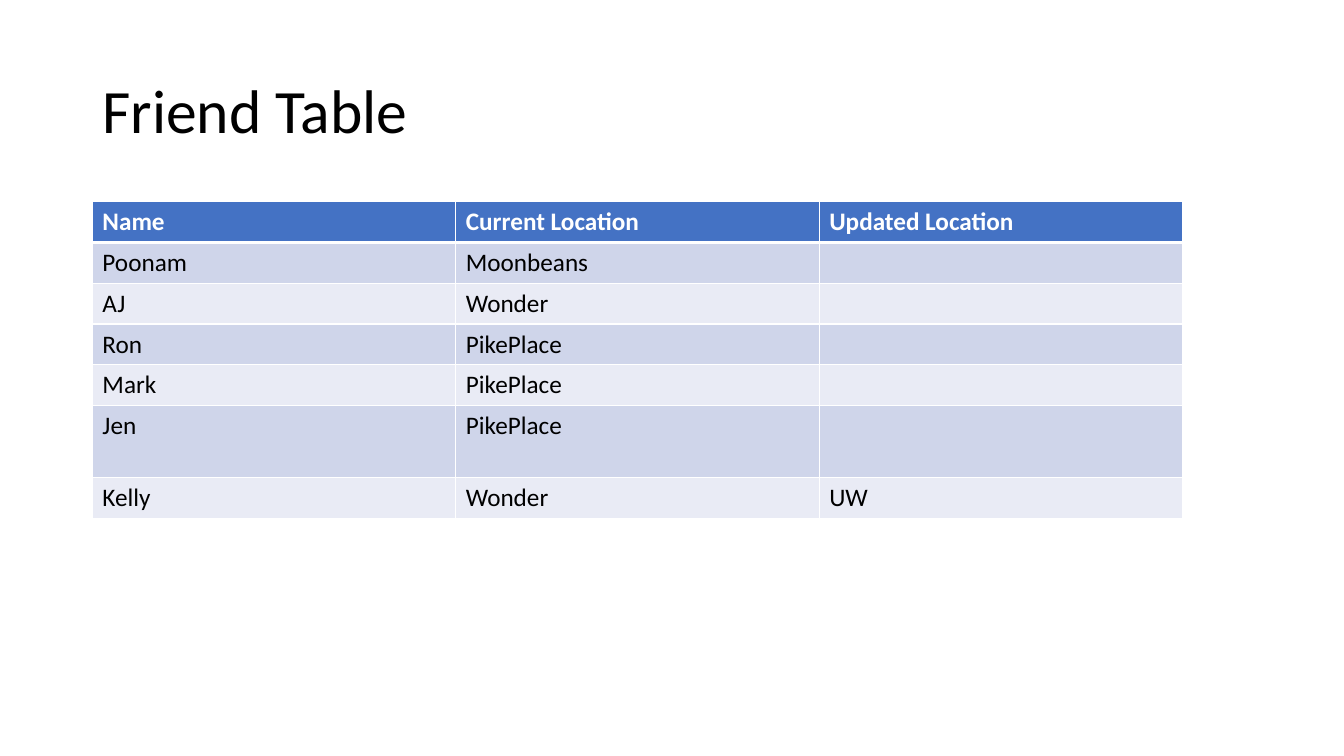
from dataclasses import dataclass

from lxml.etree import SubElement
from pptx import Presentation
from pptx.dml.color import RGBColor
from pptx.enum.text import MSO_ANCHOR
from pptx.oxml.ns import qn
from pptx.slide import Slide
from pptx.table import _Cell
from pptx.text.text import _Paragraph
from pptx.util import Inches, Length, Pt

WIDTH, HEIGHT = Inches(13.33), Inches(7.5)
GRID_COLS, GRID_ROWS = 160, 90


@dataclass(frozen=True)
class Theme:
    font: str = "Calibri"
    title_size: int = 44
    cell_size: int = 18
    ink: str = "000000"
    paper: str = "FFFFFF"
    header: str = "4472C4"
    bands: tuple[str, str] = ("CFD5EA", "E9EBF5")
    thin: int = 1
    thick: int = 3


@dataclass(frozen=True)
class Friend:
    name: str
    current: str
    updated: str = ""
    height: float = 4.86


@dataclass(frozen=True)
class Area:
    col: float
    row: float
    cols: float
    rows: float

    def box(self) -> tuple[Length, Length, Length, Length]:
        return across(self.col), down(self.row), across(self.cols), down(self.rows)


THEME = Theme()
TITLE = Area(11, 4.8, 138, 17.4)
HEADER = Friend("Name", "Current Location", "Updated Location")
FRIENDS = [
    Friend("Poonam", "Moonbeans"),
    Friend("AJ", "Wonder"),
    Friend("Ron", "PikePlace"),
    Friend("Mark", "PikePlace"),
    Friend("Jen", "PikePlace", height=8.56),
    Friend("Kelly", "Wonder", "UW"),
]
ROWS = [HEADER, *FRIENDS]
TABLE = Area(11, 24, 129.8, sum(friend.height for friend in ROWS))


def across(cols: float) -> Length:
    return Length(round(WIDTH * cols / GRID_COLS))


def down(rows: float) -> Length:
    return Length(round(HEIGHT * rows / GRID_ROWS))


def format_text(p: _Paragraph, size: int, color: str, bold: bool = False) -> None:
    p.font.size = Pt(size)
    for r in p.runs:
        r.font.name = THEME.font
        r.font.size = Pt(size)
        r.font.bold = bold
        r.font.color.rgb = RGBColor.from_string(color)


def draw_borders(cell: _Cell, top: int, bottom: int) -> None:
    props = cell._tc.get_or_add_tcPr()
    widths = {"a:lnL": THEME.thin, "a:lnR": THEME.thin, "a:lnT": top, "a:lnB": bottom}
    for index, (tag, width) in enumerate(widths.items()):
        line = SubElement(props, qn(tag), w=str(Pt(width)))
        fill = SubElement(line, qn("a:solidFill"))
        SubElement(fill, qn("a:srgbClr"), val=THEME.paper)
        props.insert(index, line)


def draw_title(s: Slide, text: str) -> None:
    tf = s.shapes.add_textbox(*TITLE.box()).text_frame
    tf.word_wrap = True
    tf.vertical_anchor = MSO_ANCHOR.MIDDLE
    tf.text = text
    p = tf.paragraphs[0]
    p.line_spacing = 0.9
    format_text(p, THEME.title_size, THEME.ink)


def draw_table(s: Slide) -> None:
    table = s.shapes.add_table(len(ROWS), 3, *TABLE.box()).table
    for column in table.columns:
        column.width = across(TABLE.cols / 3)
    for row, friend in enumerate(ROWS):
        table.rows[row].height = down(friend.height)
        is_header = row == 0
        fill = THEME.header if is_header else THEME.bands[(row - 1) % 2]
        color = THEME.paper if is_header else THEME.ink
        top = THEME.thick if row == 1 else THEME.thin
        bottom = THEME.thick if is_header else THEME.thin
        for col, text in enumerate((friend.name, friend.current, friend.updated)):
            cell = table.cell(row, col)
            cell.text = text
            cell.fill.solid()
            cell.fill.fore_color.rgb = RGBColor.from_string(fill)
            format_text(cell.text_frame.paragraphs[0], THEME.cell_size, color, is_header)
            draw_borders(cell, top, bottom)


def main() -> None:
    prs = Presentation()
    prs.slide_width, prs.slide_height = WIDTH, HEIGHT
    s = prs.slides.add_slide(prs.slide_layouts[6])
    draw_title(s, "Friend Table")
    draw_table(s)
    prs.save("out.pptx")


if __name__ == "__main__":
    main()
